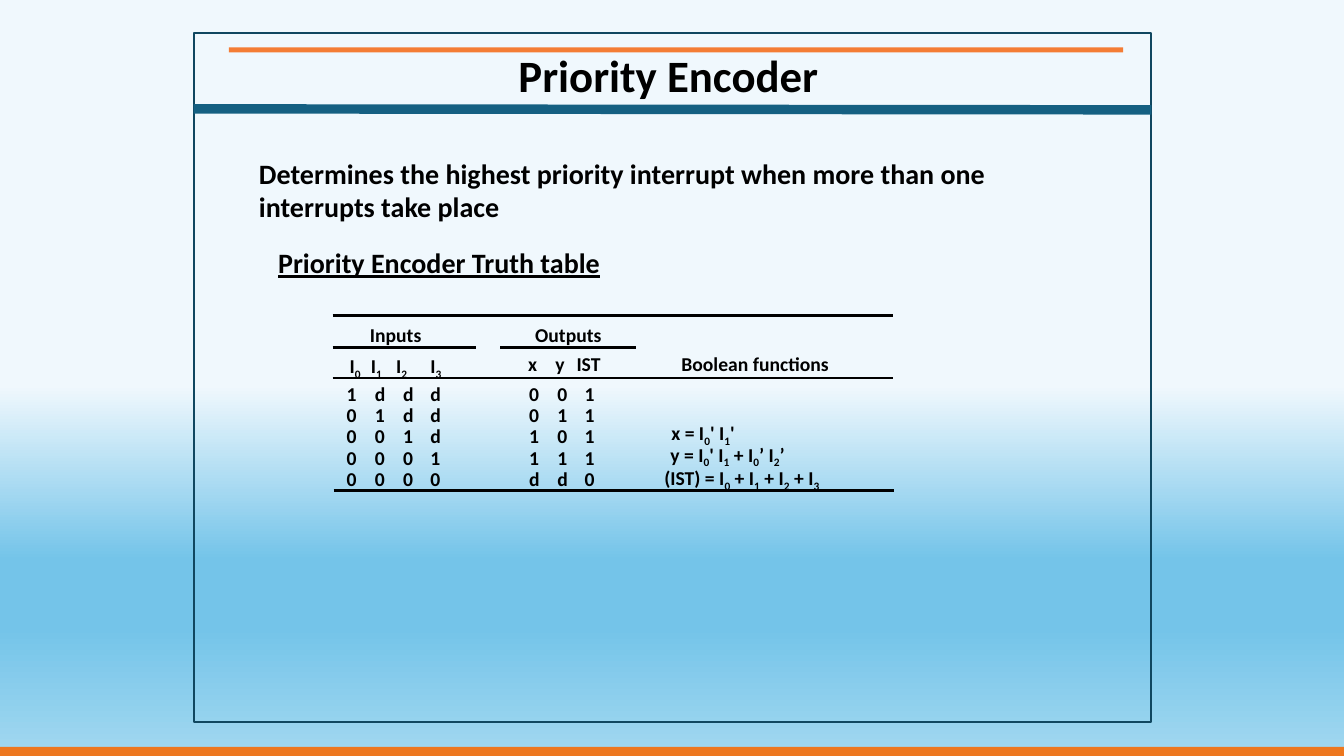
"""Build the Priority Encoder slide with its truth table."""
import copy
import pptx
import pptx.util
import pptx.dml.color
import pptx.enum.shapes
import pptx.enum.text
import pptx.oxml
import pptx.oxml.ns

Inches = pptx.util.Inches
Pt = pptx.util.Pt
color = pptx.dml.color.RGBColor.from_string
qn = pptx.oxml.ns.qn

deck = pptx.Presentation()
deck.slide_width, deck.slide_height = Inches(13.33), Inches(7.5)
slide = deck.slides.add_slide(deck.slide_layouts[6])


def label(text, left, top, width, height=0.33, size=14, tabs=(), wrap=False):
    """Add bold text; an underscore lowers the next character."""
    box = slide.shapes.add_textbox(Inches(left), Inches(top), Inches(width), Inches(height))
    box.text_frame.word_wrap = wrap or bool(tabs)
    para = box.text_frame.paragraphs[0]
    if tabs:
        stops = pptx.oxml.parse_xml(f'<a:tabLst xmlns:a="{pptx.oxml.ns.nsuri("a")}"/>')
        for stop in tabs:
            tab = stops.makeelement(qn("a:tab"), {"pos": str(Inches(stop)), "algn": "l"})
            stops.append(tab)
        para._p.get_or_add_pPr().append(stops)
    first, *rest = text.split("_")
    parts = [(first, False)]
    for part in rest:
        parts += [(part[0], True), (part[1:], False)]
    for words, low in parts:
        if words:
            run = para.add_run()
            run.text = words
            run.font.name, run.font.size, run.font.bold = "Calibri", Pt(size), True
            run.font.color.rgb = color("000000")
            if low:
                run._r.get_or_add_rPr().set("baseline", "-25000")
    return para


def rule(left, top, right, end, fill="000000", weight=2):
    """Draw a straight line without a shadow."""
    line = slide.shapes.add_connector(
        pptx.enum.shapes.MSO_CONNECTOR.STRAIGHT,
        Inches(left), Inches(top), Inches(right), Inches(end))
    line.line.color.rgb = color(fill)
    line.line.width = Pt(weight)
    props = line._element.spPr
    props.append(props.makeelement(qn("a:effectLst"), {}))


back = slide.background.fill
back.gradient()
back.gradient_angle = 270
stops = slide._element.find(".//" + qn("a:gsLst"))
for stop in list(stops):
    stops.append(copy.deepcopy(stop))
shades = [(0.51, "F0F8FD"), (0.74, "74C4E9"), (0.83, "74C4E9"), (1, "A2D8F0")]
for stop, (place, shade) in zip(back.gradient_stops, shades):
    stop.position = place
    stop.color.rgb = color(shade)

for left, top, width, height, fill in [
    (2.27, 0.47, 8.87, 0.05, "F47D35"),
    (0, 7.41, 13.33, 0.09, "ED771F"),
    (1.92, 0.33, 9.5, 6.83, None),
]:
    bar = slide.shapes.add_shape(
        pptx.enum.shapes.MSO_SHAPE.RECTANGLE,
        Inches(left), Inches(top), Inches(width), Inches(height))
    bar.shadow.inherit = False
    if fill:
        bar.fill.solid()
        bar.fill.fore_color.rgb = color(fill)
        bar.line.fill.background()
    else:
        bar.fill.background()
        bar.line.color.rgb = color("104760")
        bar.line.width = Pt(1.5)
rule(1.92, 1.08, 11.42, 1.09, "156082", 6.75)

title = label("Priority Encoder", 2.42, 0.42, 8.42, 0.64, 32, wrap=True)
title.alignment = pptx.enum.text.PP_ALIGN.CENTER
label("Determines the highest priority interrupt when more than one interrupts take place",
      2.47, 1.5, 8.14, 0.77, 20, wrap=True)
label("Priority Encoder Truth table", 2.66, 2.39, 3.42, 0.43, 20).runs[0].font.underline = True

label("Inputs", 3.57, 3.15, 0.72)
label("Outputs", 5.21, 3.15, 0.86)
label("Boolean functions", 6.66, 3.44, 1.67)
for index, left in enumerate([3.37, 3.58, 3.83, 4.17]):
    label(f"I_{index}", left, 3.46, 0.32)
label("x\ty\tIST", 5.14, 3.44, 0.93, tabs=(0.27, 0.48))

rows = [("1ddd", "001"), ("01dd", "011"), ("001d", "101"), ("0001", "111"), ("0000", "dd0")]
for index, (inputs, outputs) in enumerate(rows):
    top = 3.74 + 0.21 * index
    height = 0.57 if index < 3 else 0.33
    label("\t".join(inputs), 3.34, top, 1.14, height, tabs=(0.28, 0.56, 0.83))
    label("\t".join(outputs), 5.15, top, 0.85, height, tabs=(0.28, 0.55))

label("x = I_0' I_1'", 6.56, 4.13, 0.89)
label("y = I_0' I_1 + I_0’ I_2’", 6.55, 4.34, 1.38)
label("(IST) = I_0 + I_1 + I_2 + I_3", 6.49, 4.57, 1.87)

for left, right, top in [
    (3.3, 8.86, 3.13), (3.3, 8.86, 3.75), (3.31, 8.87, 4.87),
    (3.3, 4.72, 3.45), (4.96, 6.31, 3.45),
]:
    rule(left, top, right, top)

deck.save("out.pptx")
